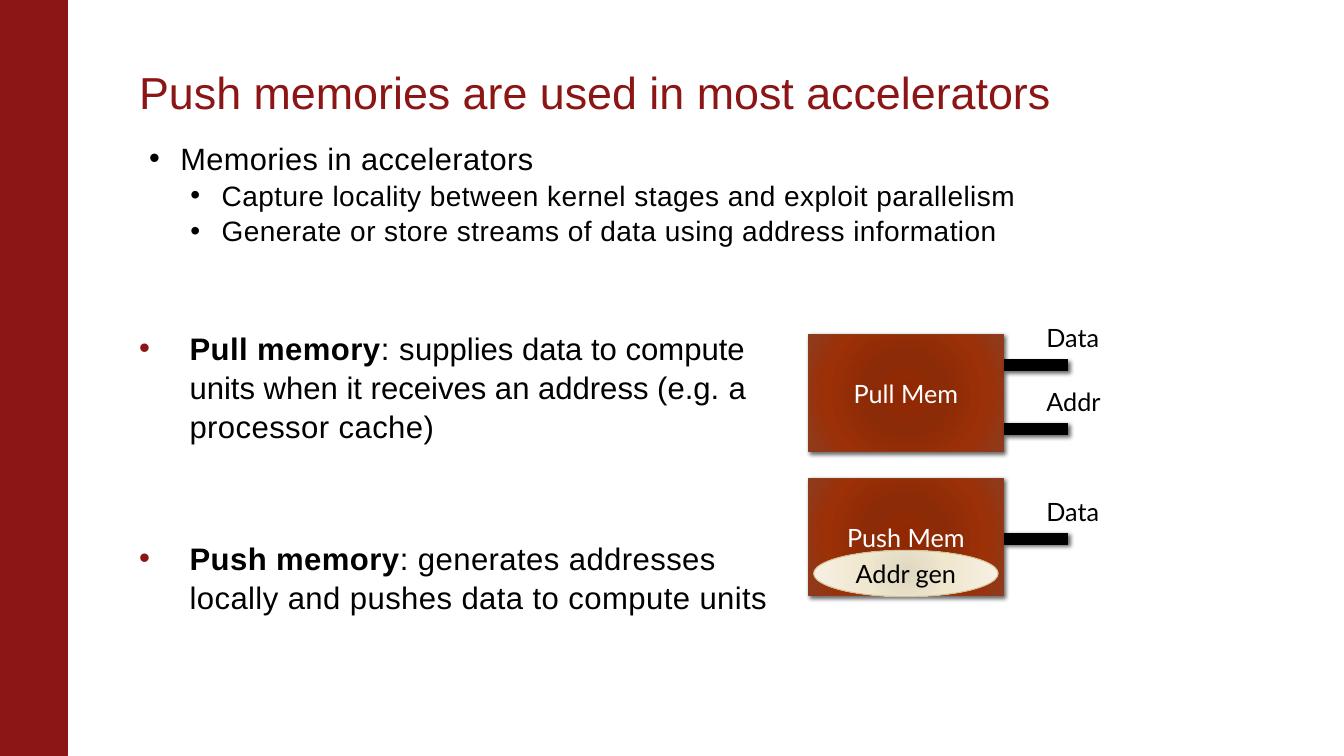
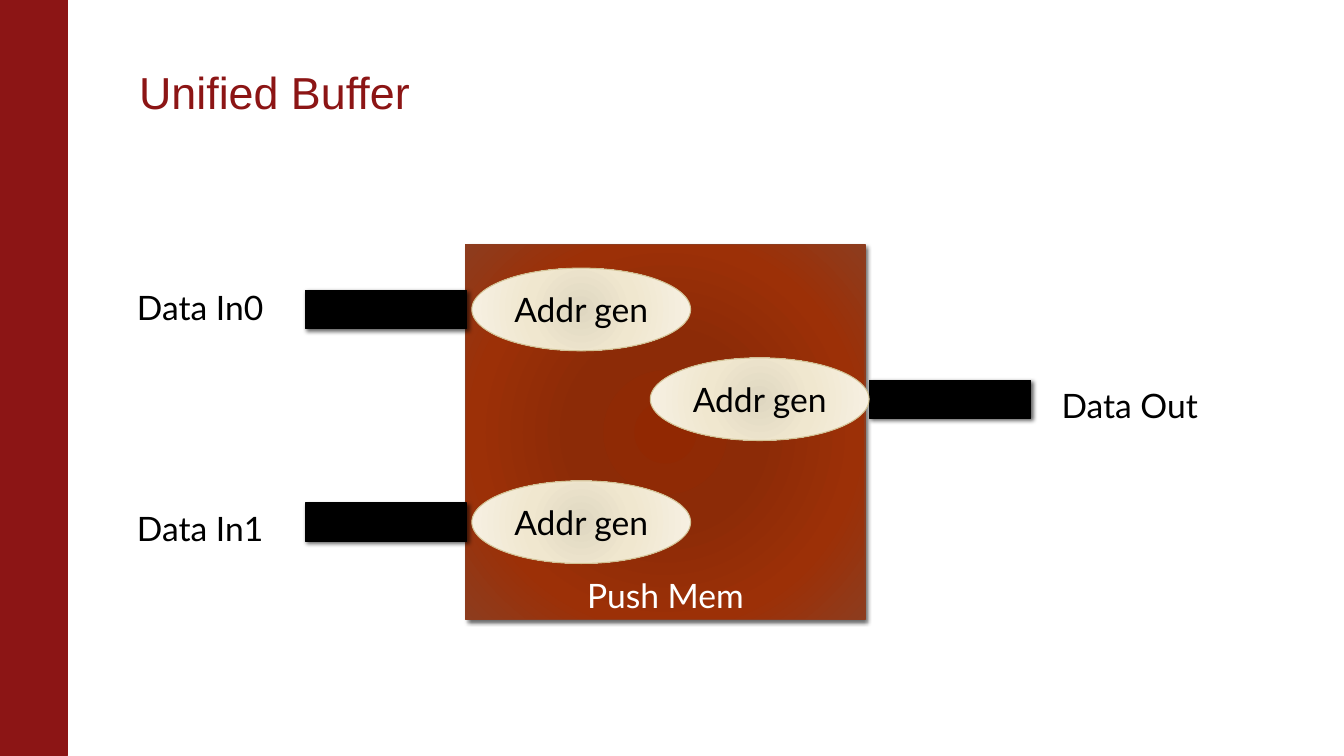
from dataclasses import dataclass
from lxml.etree import SubElement
from pptx import Presentation
from pptx.dml.color import RGBColor
from pptx.enum.shapes import MSO_SHAPE
from pptx.enum.text import MSO_ANCHOR, MSO_AUTO_SIZE, PP_ALIGN
from pptx.oxml.ns import qn
from pptx.util import Inches, Pt


@dataclass(frozen=True)
class Theme:
    red: str = "8C1515"
    black: str = "000000"
    white: str = "FFFFFF"
    rust: str = "8D3C1E"
    tan: str = "D2C295"
    sans: str = "Arial"
    lato: str = "Lato"
    title: float = 32
    body: float = 22.2
    lead: float = 22
    sub: float = 20
    small: float = 18
    large: float = 24
    space: float = 0.3


T = Theme()
WIDE, HIGH = 13.33, 7.5
EDGE = 1.38
RUST = [(0, "912802"), (34, "8C2B07"), (70, "9C3007"), (100, T.rust)]
CREAM = [(0, "DFD7C1"), (45, "F0E7CF"), (100, "F7F1E4")]

TITLES = ["Push memories are used in most accelerators", "Unified Buffer"]
POINTS = [
    ("Memories in accelerators", T.lead, 0.31),
    ("Capture locality between\u00a0kernel stages and exploit parallelism", T.sub, 0.72),
    ("Generate or store streams of data using address information", T.sub, 0.72),
]
KINDS = [
    [("Pull\u00a0memory", True, T.space), (": s", False, T.space),
     ("upplies data to compute units when it receives an address (e.g.\u00a0", False, 0),
     ("a processor cache)", False, T.space)],
    [("Push memory", True, T.space),
     (": generates addresses locally and pushes data to compute units", False, T.space)],
]
MEMS = [("Pull Mem", [("Data", 0.25), ("Addr", 0.88)]), ("Push Mem", [("Data", 0.54)])]
PORTS = [("Data In0", "in", 3.07, 2.8), ("Data In1", "in", 5.18, 4.99),
         ("Data Out", "out", 3.96, 3.77)]
SIDES = {"in": (1.26, 3.03, 4.68), "out": (10.43, 8.62, 6.45)}


def color(code):
    return RGBColor.from_string(code)


def place(shape, box):
    shape.left, shape.top, shape.width, shape.height = map(Inches, box)


def write(para, text, size, tint=T.black, face=T.lato, bold=False, space=0):
    run = para.add_run()
    run.text = text
    font = run.font
    font.size, font.name, font.bold = Pt(size), face, bold
    font.color.rgb = color(tint)
    if space:
        run._r.get_or_add_rPr().set("spc", str(round(space * 100)))


def bullet(para, left, hang, tint):
    props = para._p.get_or_add_pPr()
    props.set("marL", str(Inches(left)))
    props.set("indent", str(-Inches(hang)))
    paint = SubElement(props, qn("a:buClr"))
    SubElement(paint, qn("a:srgbClr"), val=tint)
    SubElement(props, qn("a:buFont"), typeface=T.sans)
    SubElement(props, qn("a:buChar"), char="•")
    para.line_spacing = 1.05


def blend(shape, stops):
    shape.fill.gradient()
    grad = shape.element.spPr.find(qn("a:gradFill"))
    for child in list(grad):
        grad.remove(child)
    group = SubElement(grad, qn("a:gsLst"))
    for pos, tint in stops:
        stop = SubElement(group, qn("a:gs"), pos=str(pos * 1000))
        SubElement(stop, qn("a:srgbClr"), val=tint)
    route = SubElement(grad, qn("a:path"), path="circle")
    SubElement(route, qn("a:fillToRect"), l="100000", t="100000", r="100000", b="100000")


def shade(shape):
    group = shape.element.spPr.find(qn("a:effectLst"))
    drop = SubElement(group, qn("a:outerShdw"), blurRad=str(Pt(3)), dist=str(Pt(2)),
                      dir=str(45 * 60000), rotWithShape="0")
    tint = SubElement(drop, qn("a:srgbClr"), val=T.black)
    SubElement(tint, qn("a:alpha"), val="60000")


def block(slide, box, fill, edge, kind=MSO_SHAPE.RECTANGLE, shadow=True):
    shape = slide.shapes.add_shape(kind, *map(Inches, box))
    shape.shadow.inherit = False
    if isinstance(fill, str):
        shape.fill.solid()
        shape.fill.fore_color.rgb = color(fill)
    else:
        blend(shape, fill)
    shape.line.color.rgb = color(edge)
    shape.line.width = Pt(0.75)
    if shadow:
        shade(shape)
    return shape


def center(shape, text, size, tint, anchor=MSO_ANCHOR.MIDDLE):
    frame = shape.text_frame
    frame.vertical_anchor = anchor
    para = frame.paragraphs[0]
    para.alignment = PP_ALIGN.CENTER
    write(para, text, size, tint)


def memory(slide, box, text, size, anchor=MSO_ANCHOR.MIDDLE):
    center(block(slide, box, RUST, T.rust), text, size, T.white, anchor)


def oval(slide, box, size):
    shape = block(slide, box, CREAM, T.tan, MSO_SHAPE.OVAL, False)
    center(shape, "Addr gen", size, T.black)


def pipe(slide, box):
    block(slide, box, T.black, T.black)


def panel(slide, box):
    frame = slide.shapes.add_textbox(*map(Inches, box)).text_frame
    frame.word_wrap = True
    frame.auto_size = MSO_AUTO_SIZE.SHAPE_TO_FIT_TEXT
    return frame


def label(slide, box, text, size):
    write(panel(slide, box).paragraphs[0], text, size)


def inset(frame, right):
    frame.auto_size = MSO_AUTO_SIZE.NONE
    frame.margin_left, frame.margin_right = 0, Inches(right)
    frame.margin_top = frame.margin_bottom = Inches(0.05)


def start(deck, layout, text):
    slide = deck.slides.add_slide(deck.slide_layouts[layout])
    para = slide.shapes.title.text_frame.paragraphs[0]
    para.alignment = PP_ALIGN.LEFT
    para.line_spacing = 0.85
    write(para, text, T.title, T.red, T.sans)
    return slide


def brand(deck, slide):
    master = deck.slide_master
    band = block(slide, (0, 0, WIDE / 20, HIGH), T.red, T.red, shadow=False)
    master.shapes.element.insert(2, band.element)
    title = master.placeholders[0]
    place(title, (EDGE, 0.52, 11.24, 0.71))
    inset(title.text_frame, 0.1)
    title.text_frame.vertical_anchor = MSO_ANCHOR.BOTTOM


def uses(slide):
    body = slide.placeholders[1]
    place(body, (EDGE, 3.2, 6.24, 2.72))
    frame = body.text_frame
    inset(frame, 0)
    for row, runs in enumerate(KINDS):
        para = frame.add_paragraph() if row else frame.paragraphs[0]
        bullet(para, 0.5, 0.5, T.red)
        para.space_before = Pt(66 * row)
        for text, bold, space in runs:
            write(para, text, T.body, face=T.sans, bold=bold, space=space)

    left, wide, tall = 8.02, 1.93, 1.16
    for row, (name, ports) in enumerate(MEMS):
        top = 3.32 + 1.43 * row
        memory(slide, (left, top, wide, tall), name, T.small)
        for text, drop in ports:
            pipe(slide, (left + wide + 0.01, top + drop, 0.63, 0.11))
            label(slide, (10.28, top + drop - 0.42, 1.02, 0.42), text, T.small)
    oval(slide, (left + 0.05, 5.46, wide - 0.1, 0.46), T.small)

    frame = panel(slide, (EDGE, 1.32, 10.06, 1.14))
    for row, (text, size, left) in enumerate(POINTS):
        para = frame.add_paragraph() if row else frame.paragraphs[0]
        para.level = min(row, 1)
        bullet(para, left, 0.31, T.black)
        write(para, text, size, face=T.sans, space=T.space)


def buffer(slide):
    memory(slide, (4.62, 2.43, 3.96, 3.72), "Push Mem", T.large, MSO_ANCHOR.BOTTOM)
    for text, side, mid, top in PORTS:
        words, bar, gen = SIDES[side]
        pipe(slide, (bar, mid - 0.19, 1.6, 0.38))
        oval(slide, (gen, mid - 0.41, 2.17, 0.82), T.large)
        label(slide, (words, top, 1.58, 0.5), text, T.large)


def main():
    deck = Presentation()
    deck.slide_width, deck.slide_height = Inches(WIDE), Inches(HIGH)
    first, second = [start(deck, layout, text) for layout, text in zip((1, 5), TITLES)]
    brand(deck, first)
    uses(first)
    buffer(second)
    deck.save("out.pptx")


if __name__ == "__main__":
    main()
